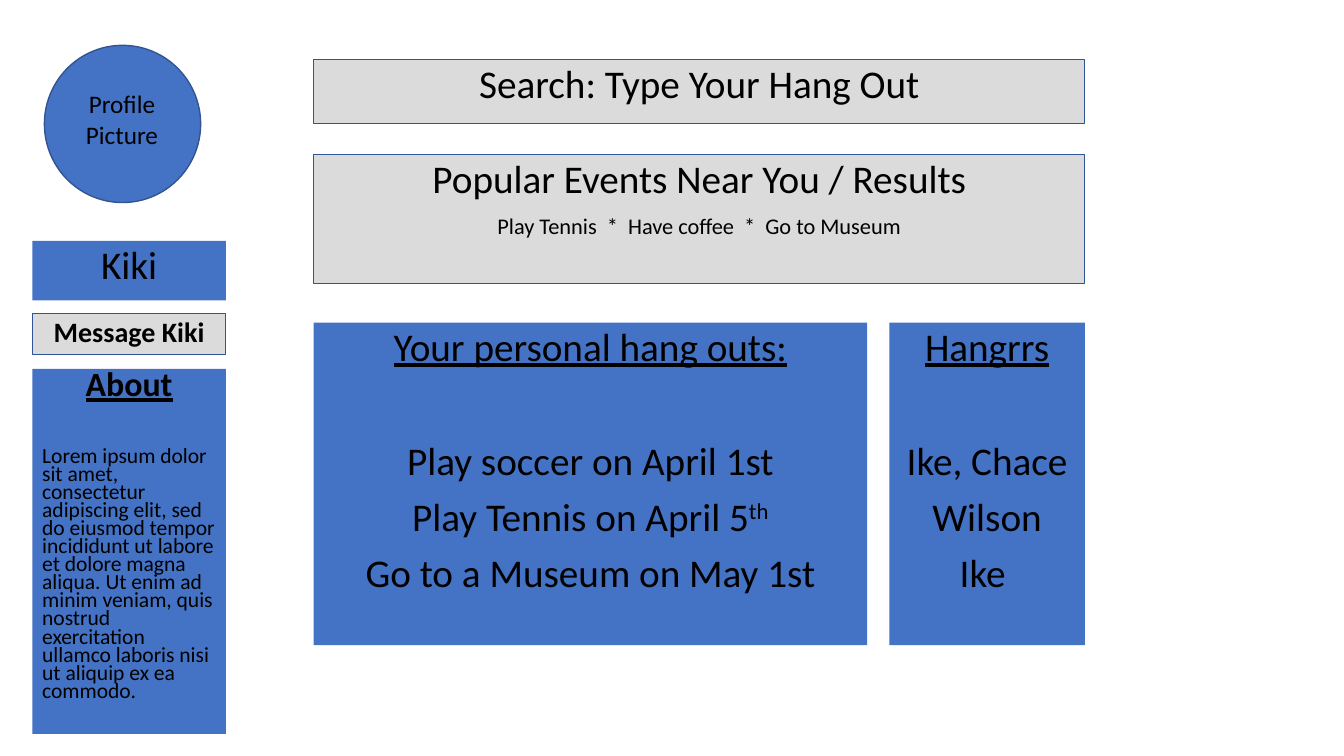
from dataclasses import dataclass

from pptx import Presentation
from pptx.dml.color import RGBColor
from pptx.enum.shapes import MSO_SHAPE
from pptx.enum.text import MSO_ANCHOR, PP_ALIGN
from pptx.util import Pt

RECT, OVAL = MSO_SHAPE.RECTANGLE, MSO_SHAPE.OVAL
TOP = MSO_ANCHOR.TOP
LEFT, CENTER = PP_ALIGN.LEFT, PP_ALIGN.CENTER
PX = 9144


@dataclass(frozen=True)
class Theme:
    """Colours, font and type sizes of the slide."""
    blue: str = "4472C4"
    grey: str = "DBDBDB"
    edge: str = "2F5597"
    rim: str = "325491"
    ink: str = "000000"
    font: str = "Calibri"
    head: float = 28
    about: float = 24.2
    button: float = 20
    label: float = 18
    list: float = 16
    body: float = 15.4


THEME = Theme()
LOREM = (
    "Lorem ipsum dolor sit amet, consectetur adipiscing elit, sed do eiusmod "
    "tempor incididunt ut labore et dolore magna aliqua. Ut enim ad minim "
    "veniam, quis nostrud exercitation ullamco laboris nisi ut aliquip ex ea "
    "commodo."
)


def scale(*box):
    """Turn px lengths into EMU."""
    return [n * PX for n in box]


def panel(slide, box, fill, edge=None, kind=RECT, width=0.75):
    """Draw a filled shape and return its text frame."""
    shape = slide.shapes.add_shape(kind, *scale(*box))
    shape.shadow.inherit = False
    shape.fill.solid()
    shape.fill.fore_color.rgb = RGBColor.from_string(fill)
    if edge:
        shape.line.color.rgb = RGBColor.from_string(edge)
        shape.line.width = Pt(width)
    else:
        shape.line.fill.background()
    frame = shape.text_frame
    frame.word_wrap = True
    frame.vertical_anchor = TOP
    return frame


def write(frame, text, size=THEME.head, gap=10, lead=0.9, align=CENTER,
          bold=False, under=False, raised=""):
    """Add a paragraph, with an optional raised ending."""
    first = not frame.paragraphs[0].runs
    para = frame.paragraphs[0] if first else frame.add_paragraph()
    para.alignment = align
    para.line_spacing = lead
    para.space_before = Pt(0 if first else gap)
    font = para.font
    font.name, font.size = THEME.font, Pt(size)
    font.bold, font.underline = bold, under
    font.color.rgb = RGBColor.from_string(THEME.ink)
    para.add_run().text = text
    if raised:
        run = para.add_run()
        run.text = raised
        run.font._element.set("baseline", "30000")


def profile(slide, x, y):
    """Place the side column with the person's details."""
    panel(slide, (x + 12, y, 155, 156), THEME.blue, THEME.rim, OVAL, 1)
    label = slide.shapes.add_textbox(*scale(x + 28, y + 38, 122, 71)).text_frame
    label.word_wrap = True
    write(label, "Profile Picture", THEME.label, lead=1)
    write(panel(slide, (x, y + 194, 192, 59), THEME.blue), "Kiki")
    button = panel(slide, (x, y + 266, 192, 41), THEME.grey, THEME.edge)
    write(button, "Message Kiki", THEME.button, bold=True)
    about = panel(slide, (x, y + 321, 192, 362), THEME.blue)
    write(about, "About", THEME.about, lead=0.7, bold=True, under=True)
    write(about, LOREM, THEME.body, gap=33, lead=0.7, align=LEFT)


def search(slide, x, y, w):
    """Place the search bar and the events under it."""
    bar = panel(slide, (x, y, w, 64), THEME.grey, THEME.edge)
    write(bar, "Search: Type Your Hang Out")
    events = panel(slide, (x, y + 94, w, 128), THEME.grey, THEME.edge)
    write(events, "Popular Events Near You / Results")
    write(events, "Play Tennis  *  Have coffee  *  Go to Museum", THEME.list)


def plans(slide, box, title, items):
    """Place a titled list, with one line of air below the title."""
    frame = panel(slide, box, THEME.blue)
    write(frame, title, under=True)
    for i, (text, raised) in enumerate(items):
        write(frame, text, gap=10 if i else 51, raised=raised)


def main():
    """Build and save the slide."""
    deck = Presentation()
    deck.slide_width, deck.slide_height = scale(1333, 750)
    slide = deck.slides.add_slide(deck.slide_layouts[6])
    profile(slide, 32, 45)
    search(slide, 311, 59, 765)
    plans(slide, (311, 320, 549, 320), "Your personal hang outs:", [
        ("Play soccer on April 1st", ""),
        ("Play Tennis on April 5", "th"),
        ("Go to a Museum on May 1st", ""),
    ])
    plans(slide, (882, 320, 194, 320), "Hangrrs", [
        ("Ike, Chace", ""),
        ("Wilson", ""),
        ("Ike ", ""),
    ])
    deck.save("out.pptx")


if __name__ == "__main__":
    main()
